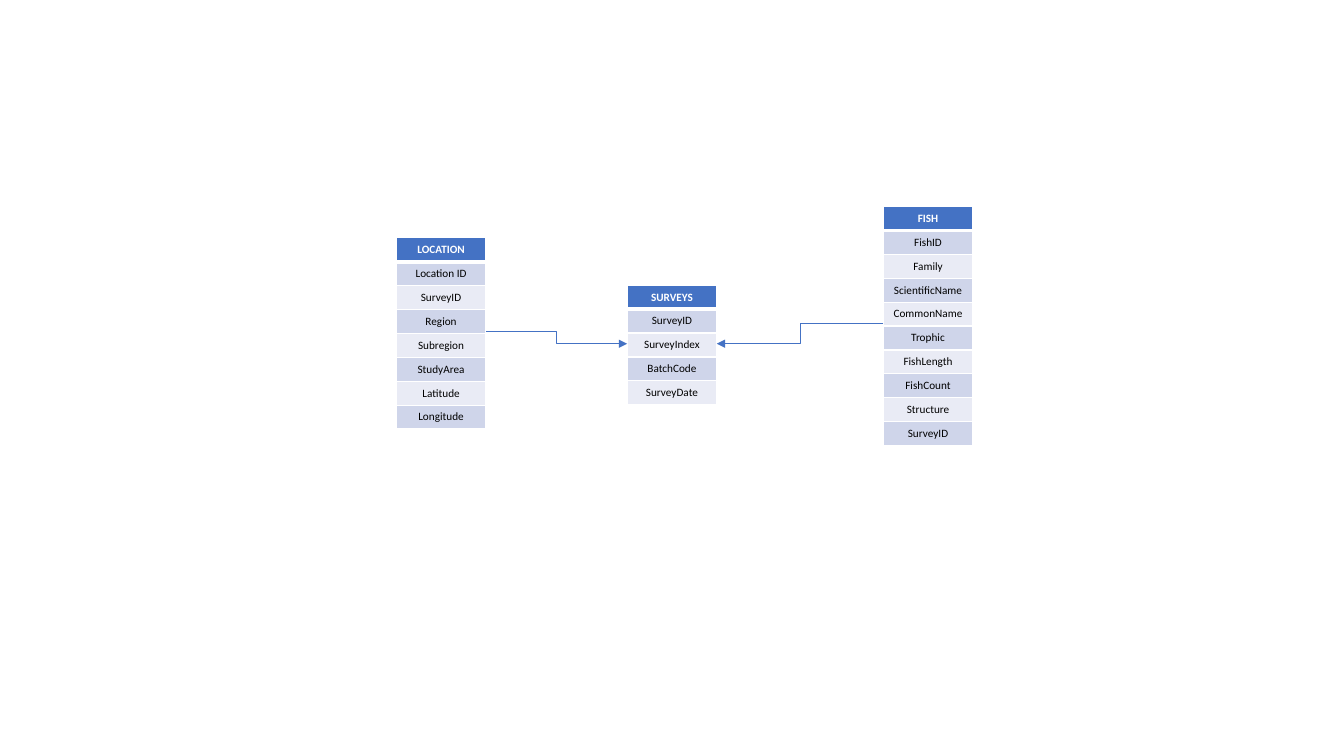
import pptx
import pptx.util
import pptx.dml.color
import pptx.enum.shapes
import pptx.enum.text
import pptx.oxml
import pptx.oxml.ns

Inches = pptx.util.Inches
COLORS = {"header": "4472C4", "odd": "CFD5EA", "even": "E9EBF5",
          "white": "FFFFFF", "black": "000000"}
NAMESPACE = pptx.oxml.ns.nsdecls("a")
TABLE_WIDTH, ROW_HEIGHT = 0.89, 0.22


def rgb(name):
    return pptx.dml.color.RGBColor.from_string(COLORS[name])


def set_borders(cell, top, bottom):
    """Draw white cell edges; top and bottom widths are in points."""
    widths = {"lnL": 1, "lnR": 1, "lnT": top, "lnB": bottom}
    for position, (edge, width) in enumerate(widths.items()):
        line = pptx.oxml.parse_xml(
            f'<a:{edge} {NAMESPACE} w="{pptx.util.Pt(width)}"><a:solidFill>'
            f'<a:srgbClr val="{COLORS["white"]}"/></a:solidFill></a:{edge}>')
        cell._tc.get_or_add_tcPr().insert(position, line)


deck = pptx.Presentation()
deck.slide_width, deck.slide_height = Inches(13.33), Inches(7.5)
page = deck.slides.add_slide(deck.slide_layouts[6])

# Entity tables: left, top, header followed by field names
entities = [
    (6.22, 2.83, ["SURVEYS", "SurveyID", "SurveyIndex", "BatchCode", "SurveyDate"]),
    (3.93, 2.36, ["LOCATION", "Location ID", "SurveyID", "Region", "Subregion",
                  "StudyArea", "Latitude", "Longitude"]),
    (8.76, 2.05, ["FISH", "FishID", "Family", "ScientificName", "CommonName", "Trophic",
                  "FishLength", "FishCount", "Structure", "SurveyID"]),
]
for left, top, names in entities:
    frame = page.shapes.add_table(len(names), 1, Inches(left), Inches(top),
                                  Inches(TABLE_WIDTH), Inches(ROW_HEIGHT * len(names)))
    for index, name in enumerate(names):
        is_header = index == 0
        frame.table.rows[index].height = Inches(ROW_HEIGHT)
        cell = frame.table.cell(index, 0)
        cell.margin_left = cell.margin_right = Inches(0.05)
        cell.fill.solid()
        cell.fill.fore_color.rgb = rgb("header" if is_header else "odd" if index % 2 else "even")
        set_borders(cell, top=3 if index == 1 else 1, bottom=3 if is_header else 1)
        para = cell.text_frame.paragraphs[0]
        para.alignment = pptx.enum.text.PP_ALIGN.CENTER
        span = para.add_run()
        span.text = name
        span.font.name = "Calibri"
        span.font.size = pptx.util.Pt(8)
        span.font.bold = is_header
        span.font.color.rgb = rgb("white" if is_header else "black")

# Relations pointing to the surveys table
for start_x, start_y, end_x in [(4.82, 3.29, 6.22), (8.76, 3.21, 7.11)]:
    relation = page.shapes.add_connector(
        pptx.enum.shapes.MSO_CONNECTOR.ELBOW,
        Inches(start_x), Inches(start_y), Inches(end_x), Inches(3.41))
    relation.line.color.rgb = rgb("header")
    relation.line.width = pptx.util.Pt(0.5)
    relation.line._get_or_add_ln().append(
        pptx.oxml.parse_xml(f'<a:tailEnd {NAMESPACE} type="triangle"/>'))
    relation._element.spPr.append(pptx.oxml.parse_xml(f"<a:effectLst {NAMESPACE}/>"))

deck.save("out.pptx")
